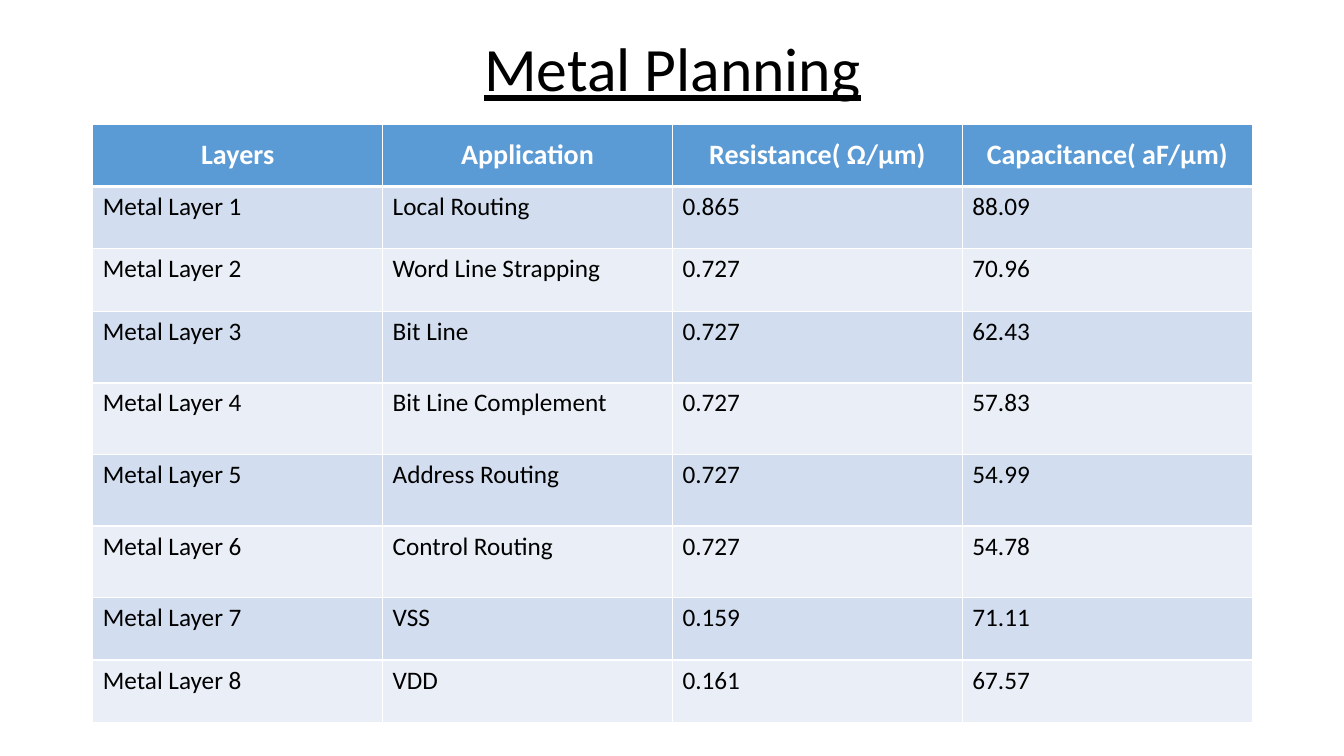
from lxml.etree import SubElement
from pptx import Presentation
from pptx.dml.color import RGBColor
from pptx.enum.text import MSO_ANCHOR as Anchor, PP_ALIGN as Align
from pptx.oxml.ns import qn
from pptx.util import Inches, Pt

# Content
TITLE = "Metal Planning"
HEADINGS = ["Layers", "Application", "Resistance( Ω/μm)", "Capacitance( aF/μm)"]
LAYERS = [
    ("Metal Layer 1", "Local Routing", "0.865", "88.09"),
    ("Metal Layer 2", "Word Line Strapping", "0.727", "70.96"),
    ("Metal Layer 3", "Bit Line", "0.727", "62.43"),
    ("Metal Layer 4", "Bit Line Complement", "0.727", "57.83"),
    ("Metal Layer 5", "Address Routing", "0.727", "54.99"),
    ("Metal Layer 6", "Control Routing", "0.727", "54.78"),
    ("Metal Layer 7", "VSS", "0.159", "71.11"),
    ("Metal Layer 8", "VDD", "0.161", "67.57"),
]
COLORS = {"heading": "5B9BD5", "odd": "D2DEEF", "even": "EAEFF7",
          "white": "FFFFFF", "black": "000000"}
FONT = "Calibri"

# Layout in inches
LEFT, WIDTH = 0.92, 11.5
TITLE_TOP, TITLE_HEIGHT = 0.19, 1.04
TABLE_TOP = TITLE_TOP + TITLE_HEIGHT
ROW_HEIGHT, TALL_ROW_HEIGHT = 0.62, 0.71
TALL_ROWS = range(3, 7)


def rgb(name):
    return RGBColor.from_string(COLORS[name])


def add_text(paragraph, text, size, color, bold=False, underline=False):
    run = paragraph.add_run()
    run.text = text
    font = run.font
    font.name, font.size = FONT, Pt(size)
    font.bold, font.underline = bold, underline
    font.color.rgb = rgb(color)


def add_border(cell, side, points):
    line = SubElement(cell._tc.get_or_add_tcPr(), qn(f"a:ln{side}"), w=str(Pt(points)))
    fill = SubElement(line, qn("a:solidFill"))
    SubElement(fill, qn("a:srgbClr"), val=COLORS["white"])


prs = Presentation()
prs.slide_width, prs.slide_height = Inches(13.33), Inches(7.5)
slide = prs.slides.add_slide(prs.slide_layouts[6])

# Title
title = slide.shapes.add_textbox(
    Inches(LEFT), Inches(TITLE_TOP), Inches(WIDTH), Inches(TITLE_HEIGHT)).text_frame
title.word_wrap = True
title.vertical_anchor = Anchor.MIDDLE
heading = title.paragraphs[0]
heading.alignment = Align.CENTER
heading.line_spacing = 0.9
add_text(heading, TITLE, 44, "black", underline=True)

# Table of metal layers
rows = [HEADINGS, *LAYERS]
heights = [TALL_ROW_HEIGHT if r in TALL_ROWS else ROW_HEIGHT for r in range(len(rows))]
table = slide.shapes.add_table(
    len(rows), len(HEADINGS), Inches(LEFT), Inches(TABLE_TOP),
    Inches(WIDTH), Inches(sum(heights))).table
for r, values in enumerate(rows):
    table.rows[r].height = Inches(heights[r])
    is_heading = r == 0
    for c, value in enumerate(values):
        cell = table.cell(r, c)
        borders = {"L": 1, "R": 1, "T": 3 if r == 1 else 1, "B": 3 if is_heading else 1}
        for side, points in borders.items():
            add_border(cell, side, points)
        cell.fill.solid()
        cell.fill.fore_color.rgb = rgb("heading" if is_heading else "odd" if r % 2 else "even")
        cell.vertical_anchor = Anchor.MIDDLE if is_heading else Anchor.TOP
        entry = cell.text_frame.paragraphs[0]
        entry.alignment = Align.CENTER if is_heading else Align.LEFT
        add_text(entry, value, 20 if is_heading else 18,
                 "white" if is_heading else "black", bold=is_heading)

prs.save("out.pptx")
